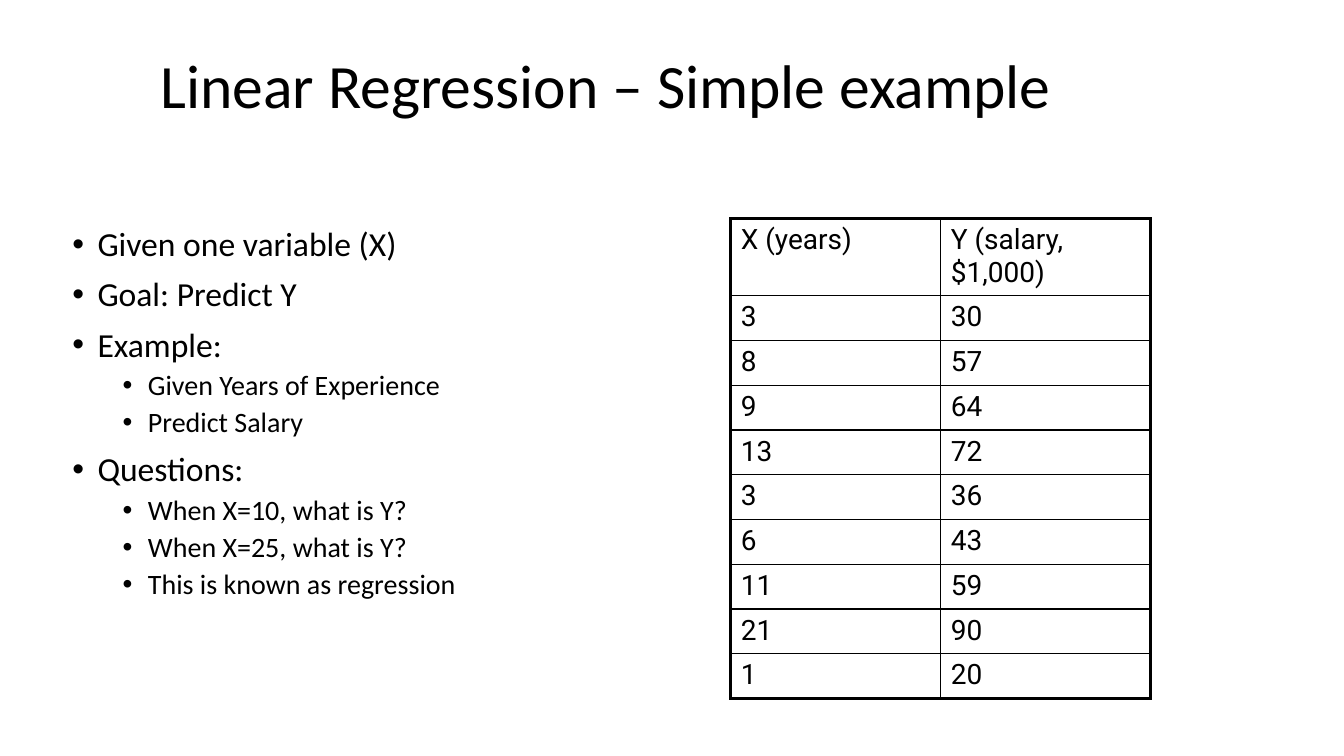
from lxml.etree import Element, SubElement
from pptx import Presentation
from pptx.dml.color import RGBColor
from pptx.enum.text import MSO_ANCHOR
from pptx.oxml.ns import qn
from pptx.util import Pt

BLACK = "000000"
THIN, THICK = 1, 2.25


def color(value):
    return RGBColor.from_string(value)


def write(paragraph, text, *, size, font, fill=BLACK, line=None, before=None):
    """Put formatted text into a paragraph."""
    run = paragraph.add_run()
    run.text = text
    run.font.size = Pt(size)
    run.font.name = font
    run.font.color.rgb = color(fill)
    if line is not None:
        paragraph.line_spacing = line
    if before is not None:
        paragraph.space_before = Pt(before)


class SlideBuilder:
    text_font = "Calibri"
    table_font = "Roboto"
    indent = 18
    level_step = 36
    sizes = (24, 20)
    gaps = (10, 5)

    def __init__(self, slide):
        self.slide = slide

    def frame(self, left, top, width, height, anchor):
        box = self.slide.shapes.add_textbox(Pt(left), Pt(top), Pt(width), Pt(height))
        box.text_frame.word_wrap = True
        box.text_frame.vertical_anchor = anchor
        return box.text_frame

    def title(self, text, *place):
        frame = self.frame(*place, MSO_ANCHOR.MIDDLE)
        write(frame.paragraphs[0], text, size=44, font=self.text_font, line=0.9)

    def bullets(self, items, *place):
        frame = self.frame(*place, MSO_ANCHOR.TOP)
        for number, (level, text) in enumerate(items):
            paragraph = frame.add_paragraph() if number else frame.paragraphs[0]
            paragraph.level = level
            write(paragraph, text, size=self.sizes[level], font=self.text_font,
                  line=0.9, before=self.gaps[level])
            properties = paragraph._p.get_or_add_pPr()
            properties.set("marL", str(Pt(self.indent + level * self.level_step)))
            properties.set("indent", str(-Pt(self.indent)))
            SubElement(properties, qn("a:buFont"), typeface="Arial")
            SubElement(properties, qn("a:buChar"), char="•")

    def borders(self, cell, widths):
        properties = cell._tc.get_or_add_tcPr()
        for position, (side, width) in enumerate(widths.items()):
            line = Element(qn(f"a:ln{side}"), w=str(Pt(width)))
            solid = SubElement(line, qn("a:solidFill"))
            SubElement(solid, qn("a:srgbClr"), val=BLACK)
            properties.insert(position, line)

    def table(self, rows, left, top, column_width, header_height, row_height):
        last_row, last_column = len(rows) - 1, len(rows[0]) - 1
        table = self.slide.shapes.add_table(
            len(rows), len(rows[0]), Pt(left), Pt(top),
            Pt(column_width * len(rows[0])),
            Pt(header_height + row_height * last_row)).table
        table.first_row = table.horz_banding = False
        for column in table.columns:
            column.width = Pt(column_width)
        for r, values in enumerate(rows):
            table.rows[r].height = Pt(row_height if r else header_height)
            for c, value in enumerate(values):
                cell = table.cell(r, c)
                write(cell.text_frame.paragraphs[0], str(value), size=20, font=self.table_font)
                cell.fill.background()
                # Thick outer frame, thin inner grid
                self.borders(cell, {
                    "L": THICK if c == 0 else THIN,
                    "R": THICK if c == last_column else THIN,
                    "T": THICK if r == 0 else THIN,
                    "B": THICK if r == last_row else THIN,
                })


def main():
    deck = Presentation()
    deck.slide_width, deck.slide_height = Pt(960), Pt(540)
    builder = SlideBuilder(deck.slides.add_slide(deck.slide_layouts[6]))

    # Heading
    builder.title("Linear Regression – Simple example", 107.5, 18, 818, 90)

    # Problem outline
    outline = [
        (0, "Given one variable (X)"),
        (0, "Goal: Predict Y"),
        (0, "Example:"),
        (1, "Given Years of Experience"),
        (1, "Predict Salary"),
        (0, "Questions:"),
        (1, "When X=10, what is Y?"),
        (1, "When X=25, what is Y?"),
        (1, "This is known as regression"),
    ]
    builder.bullets(outline, 44.6, 159, 479.5, 324)

    # Experience and salary data
    salaries = [
        ("X (years)", "Y (salary, $1,000)"),
        (3, 30), (8, 57), (9, 64), (13, 72), (3, 36),
        (6, 43), (11, 59), (21, 90), (1, 20),
    ]
    builder.table(salaries, 522, 156, 150, 54.3, 32)

    deck.save("out.pptx")


if __name__ == "__main__":
    main()
